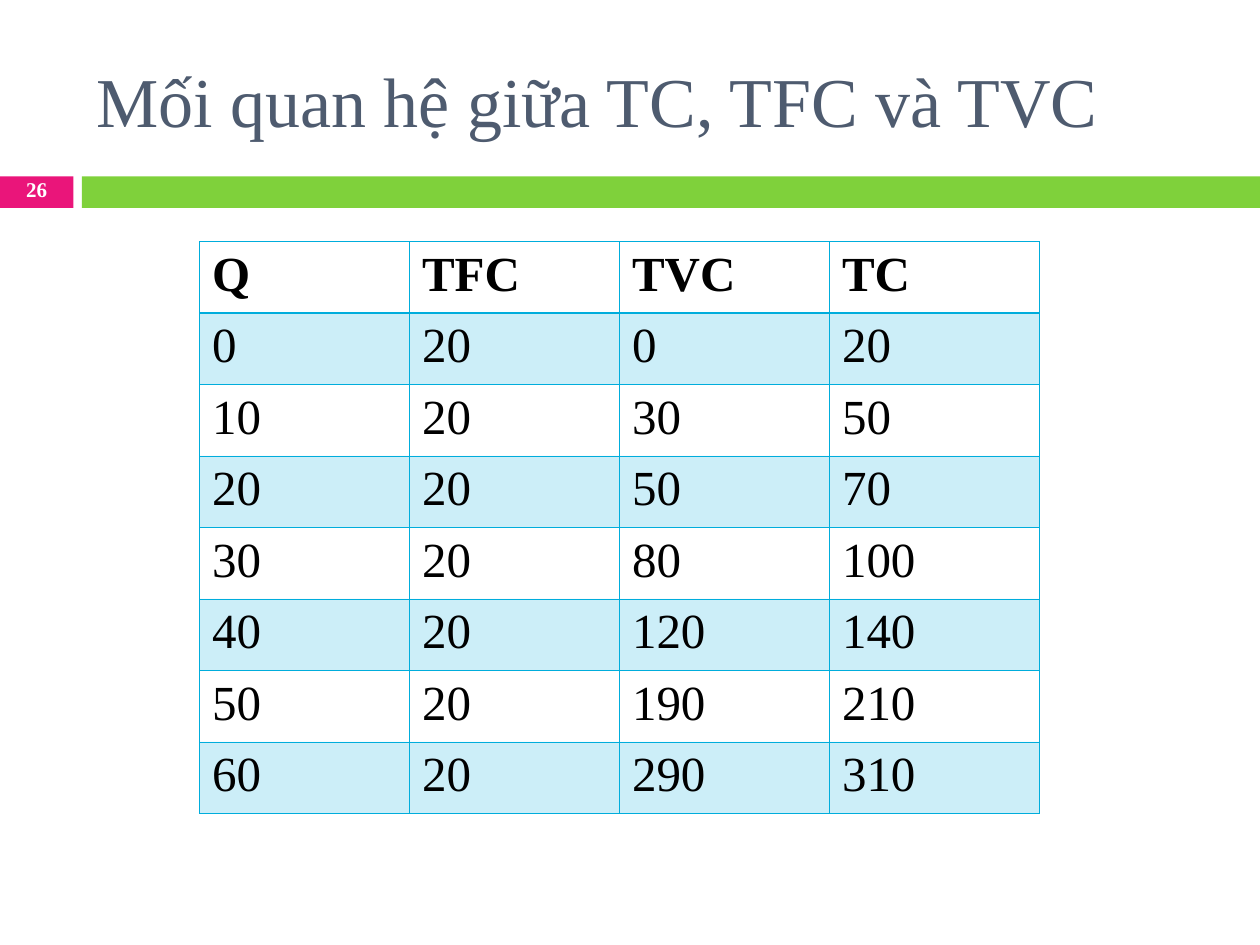
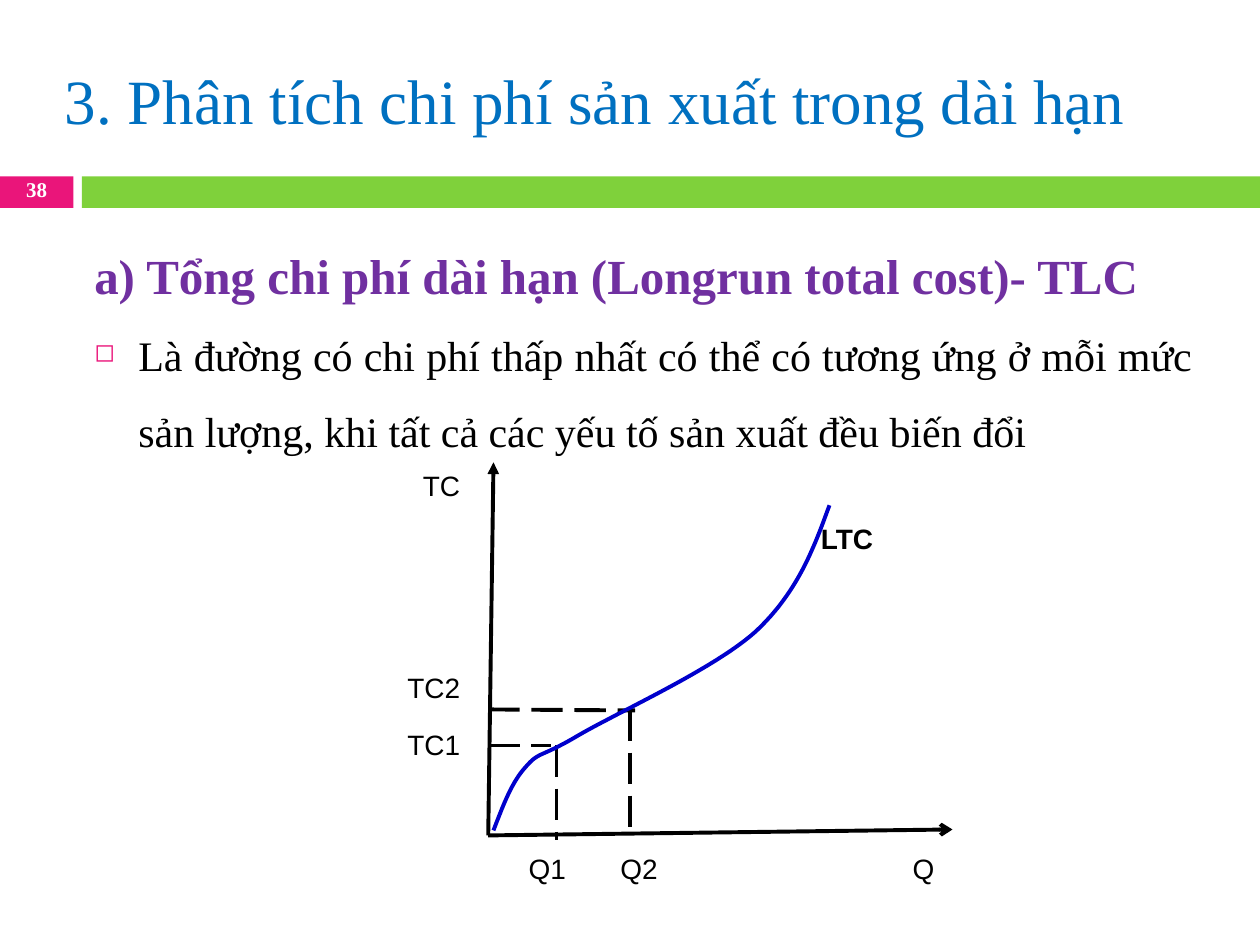
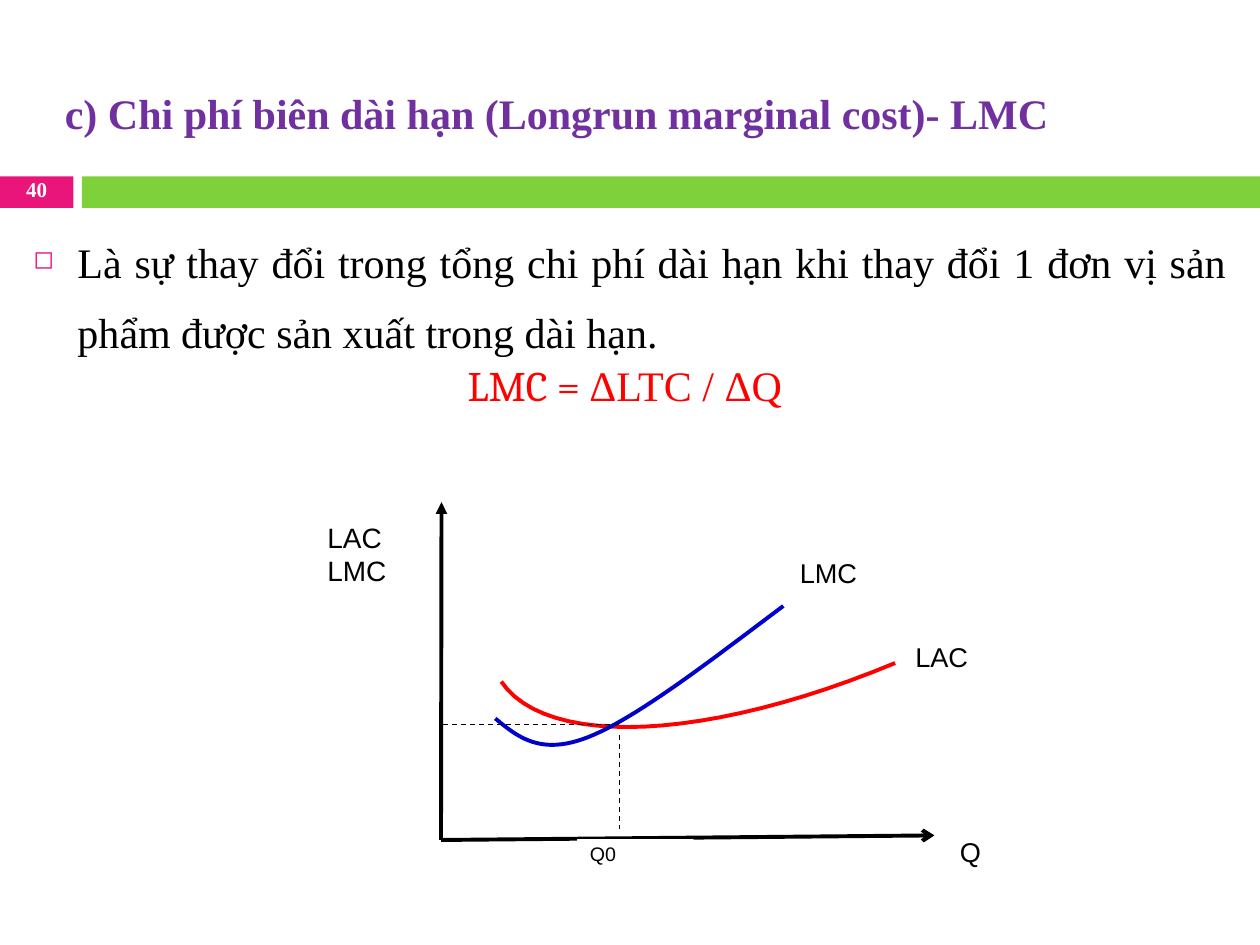
from lxml import etree
from pptx import Presentation
from pptx import util as u
from pptx.dml.color import RGBColor
from pptx.enum import dml, shapes, text
from pptx.oxml import ns

Pt = u.Pt
AL = text.PP_ALIGN
DASH = dml.MSO_LINE
SERIF, SANS = "Times New Roman", "Arial"
PINK, GREEN, CYAN = "EA157A", "7FD13B", "00ADDC"
SLATE, SKY, PURPLE = "4E5B6F", "0070C0", "7030A0"
BLACK, WHITE, RED, BLUE = "000000", "FFFFFF", "FF0000", "0000CC"
HANG = 25.2
BAND_TOP, BAND_H = 100.8, 18


def rgb(value):
    return RGBColor.from_string(value)


def sub(parent, tag, **attrs):
    el = etree.SubElement(parent, ns.qn(tag))
    for name, value in attrs.items():
        el.set(name, str(value))
    return el


def bezier(points, steps=24):
    """Sample a chain of cubic segments: one start point, then three points per segment."""
    out = [points[0]]
    for i in range(0, len(points) - 1, 3):
        a, b, c, d = points[i:i + 4]
        for n in range(1, steps + 1):
            t = n / steps
            w = 1 - t
            out.append(tuple(w**3 * a[k] + 3 * w * w * t * b[k] + 3 * w * t * t * c[k] + t**3 * d[k]
                             for k in (0, 1)))
    return out


class Deck:
    def __init__(self):
        self.prs = Presentation()
        self.prs.slide_width, self.prs.slide_height = Pt(720), Pt(540)
        self.s = None

    def slide(self, number):
        self.s = self.prs.slides.add_slide(self.prs.slide_layouts[6])
        self.band(0, 42, PINK)
        self.band(46.8, 673.2, GREEN)
        tf = self.box(0, 100, 42, 19.4, anchor=text.MSO_ANCHOR.MIDDLE)
        self.para(tf, str(number), 12, WHITE, bold=True, align=AL.CENTER, spacing=0.8)

    def band(self, x, w, color):
        sp = self.s.shapes.add_shape(shapes.MSO_SHAPE.RECTANGLE, Pt(x), Pt(BAND_TOP), Pt(w), Pt(BAND_H))
        sp.shadow.inherit = False
        sp.fill.solid()
        sp.fill.fore_color.rgb = rgb(color)
        sp.line.fill.background()

    def box(self, x, y, w, h, anchor=text.MSO_ANCHOR.TOP, left=7.2, border=None):
        """A text box; with a border width it becomes a white label box."""
        sp = self.s.shapes.add_textbox(Pt(x), Pt(y), Pt(w), Pt(h))
        if border:
            sp.fill.solid()
            sp.fill.fore_color.rgb = rgb(WHITE)
            sp.line.color.rgb = rgb(WHITE)
            sp.line.width = Pt(border)
        tf = sp.text_frame
        tf.word_wrap = True
        tf.vertical_anchor = anchor
        tf.margin_left = Pt(left)
        return tf

    def para(self, tf, content, size, color=BLACK, font=SERIF, bold=False, align=AL.LEFT,
             spacing=None, before=0, hang=False, bullet=False, tabs=()):
        """Add a paragraph; content is a string or a list of (text, font) runs."""
        p = tf.paragraphs[0]
        if p.runs:
            p = tf.add_paragraph()
        pPr = p._p.get_or_add_pPr()
        if hang:
            pPr.set("marL", str(Pt(HANG)))
            pPr.set("indent", str(-Pt(HANG)))
        if bullet:
            sub(sub(pPr, "a:buClr"), "a:srgbClr", val=PINK)
            sub(pPr, "a:buSzPct", val=60000)
            sub(pPr, "a:buChar", char="◻")
        if tabs:
            lst = sub(pPr, "a:tabLst")
            for pos in tabs:
                sub(lst, "a:tab", pos=Pt(pos), algn="l")
        p.alignment = align
        if spacing:
            p.line_spacing = spacing
        if before:
            p.space_before = Pt(before)
        p.font.size, p.font.bold = Pt(size), bold
        p.font.color.rgb = rgb(color)
        if isinstance(content, str):
            p.font.name = font
            content = [(content, None)]
        for words, face in content:
            r = p.add_run()
            r.text = words
            if face:
                r.font.name = face

    def title(self, words, size, color, x=30, **style):
        tf = self.box(x, 18, 690 - x, 78, anchor=text.MSO_ANCHOR.MIDDLE)
        self.para(tf, words, size, color, **style)

    def label(self, words, x, y, w, h, size=16, border=0.75, **style):
        self.para(self.box(x, y, w, h, border=border), words, size, font=SANS, **style)

    def line(self, x1, y1, x2, y2, width=2.25, dash=None, tip=None):
        c = self.s.shapes.add_connector(shapes.MSO_CONNECTOR.STRAIGHT, Pt(x1), Pt(y1), Pt(x2), Pt(y2))
        c.line.color.rgb = rgb(BLACK)
        c.line.width = Pt(width)
        if dash:
            c.line.dash_style = dash
        if tip:
            sub(c.line._get_or_add_ln(), "a:tailEnd", type=tip)
        sub(c._element.spPr, "a:effectLst")

    def axes(self, origin, top, right):
        self.line(*origin, *top, tip="triangle")
        self.line(*origin, *right, tip="arrow")

    def curve(self, points, color):
        pts = [(Pt(x), Pt(y)) for x, y in bezier(points)]
        fb = self.s.shapes.build_freeform(*pts[0])
        fb.add_line_segments(pts[1:], close=False)
        sp = fb.convert_to_shape()
        sp.shadow.inherit = False
        sp.fill.background()
        sp.line.color.rgb = rgb(color)
        sp.line.width = Pt(2.25)

    def table(self, rows, x, y, col_w, row_h):
        n, m = len(rows), len(rows[0])
        tbl = self.s.shapes.add_table(n, m, Pt(x), Pt(y), Pt(col_w * m), Pt(row_h * n)).table
        tbl.first_row = tbl.horz_banding = False
        for col in tbl.columns:
            col.width = Pt(col_w)
        for i, row in enumerate(rows):
            tbl.rows[i].height = Pt(row_h)
            for j, value in enumerate(row):
                cell = tbl.cell(i, j)
                self.para(cell.text_frame, str(value), 28, bold=i == 0)
                self.cell_style(cell, i)

    def cell_style(self, cell, row):
        tcPr = cell._tc.get_or_add_tcPr()
        for side in "LRTB":
            heavy = (row, side) in ((0, "B"), (1, "T"))
            ln = sub(tcPr, "a:ln" + side, w=Pt(0.96 if heavy else 0.45))
            sub(sub(ln, "a:solidFill"), "a:srgbClr", val=CYAN)
        if row % 2:
            cell.fill.solid()
            cell.fill.fore_color.rgb = rgb(CYAN)
            sub(tcPr.find(ns.qn("a:solidFill"))[0], "a:alpha", val=20000)
        else:
            cell.fill.background()


def cost_table(d):
    d.slide(26)
    d.title("Mối quan hệ giữa TC, TFC và TVC", 40, SLATE, x=48)
    fixed = 20
    variable = [0, 30, 50, 80, 120, 190, 290]
    rows = [("Q", "TFC", "TVC", "TC")]
    rows += [(10 * i, fixed, v, fixed + v) for i, v in enumerate(variable)]
    d.table(rows, 114, 138, 120, 40.85)


def long_run_total_cost(d):
    d.slide(38)
    d.title("3. Phân tích chi phí sản xuất trong dài hạn", 36, SKY)
    tf = d.box(46.8, 120, 642, 144)
    body = dict(align=AL.JUSTIFY, spacing=1.5, hang=True)
    d.para(tf, "a) Tổng chi phí dài hạn (Longrun total cost)- TLC", 28, PURPLE, bold=True, **body)
    d.para(tf, "Là đường có chi phí thấp nhất có thể có tương ứng ở mỗi mức sản lượng, "
               "khi tất cả các yếu tố sản xuất đều biến đổi", 24, bullet=True, **body)

    d.axes((279, 477.4), (282, 264.2), (544.3, 474))
    d.label("LTC", 462, 294.5, 60, 26.6, border=2.25, bold=True)
    for guide in ((279, 426, 315, 426), (279, 405.4, 363, 406),
                  (360, 405.4, 360, 477.4), (318, 426, 318, 480)):
        d.line(*guide, dash=DASH.LONG_DASH)
    tf = d.box(210, 264.2, 60, 177, border=2.25)
    for words, gap in (("TC", 0), ("TC2", 96.5), ("TC1", 13)):
        d.para(tf, words, 16, font=SANS, align=AL.RIGHT, before=gap)
    tf = d.box(282, 483, 269.3, 27.4, left=20.1, border=0.75)
    d.para(tf, "Q1\tQ2\tQ", 16, font=SANS, tabs=(52.5, 219.5))
    d.curve([(282, 474.5), (287.3, 460.8), (292.3, 447.1), (300.2, 438.5),
             (308.2, 429.1), (308.2, 433.4), (330, 420.5),
             (352, 407.5), (408.2, 382.3), (432, 360.7),
             (455.8, 338.4), (465.1, 313.2), (474, 288.7)], BLUE)


def long_run_marginal_cost(d):
    d.slide(40)
    d.title("c) Chi phí biên dài hạn (Longrun marginal cost)- LMC", 24, PURPLE,
            bold=True, align=AL.JUSTIFY, spacing=1.5)
    tf = d.box(12, 120, 696, 120)
    d.para(tf, "Là sự thay đổi trong tổng chi phí dài hạn khi thay đổi 1 đơn vị sản phẩm "
               "được sản xuất trong dài hạn.", 24, align=AL.JUSTIFY, spacing=1.4, hang=True, bullet=True)
    d.para(tf, [("LMC = ", "Cambria"), ("ΔLTC / ΔQ ", SERIF)], 24, RED,
           align=AL.CENTER, spacing=0.8, before=7, hang=True)

    d.axes((252, 480), (252.3, 287), (534, 477.4))
    d.curve([(511.5, 378.9), (404.6, 423.4), (312.5, 427.7), (286.4, 389.5)], RED)
    d.label("Q", 541.4, 477.4, 39.6, 26.6, size=15.5, spacing=0.8)
    d.curve([(283, 410.6), (295.9, 421.2), (308.9, 432), (336.2, 421.2),
             (363.6, 410.4), (405.4, 378), (447.6, 346.3)], BLUE)
    d.label("LAC LMC", 180, 293.8, 60, 48)
    d.line(354, 420, 354, 474, width=0.75, dash=DASH.DASH)
    d.line(354, 414, 252, 414, width=0.75, dash=DASH.DASH)
    for words, x, y, w, h, size in (("LAC", 516, 366, 72, 26.6, 15.5),
                                    ("LMC", 450, 318, 66, 27.4, 15.5),
                                    ("Q0", 330, 480, 66, 21, 11.2)):
        d.label(words, x, y, w, h, size=size, spacing=0.8)


def main():
    d = Deck()
    cost_table(d)
    long_run_total_cost(d)
    long_run_marginal_cost(d)
    d.prs.save("out.pptx")


if __name__ == "__main__":
    main()
